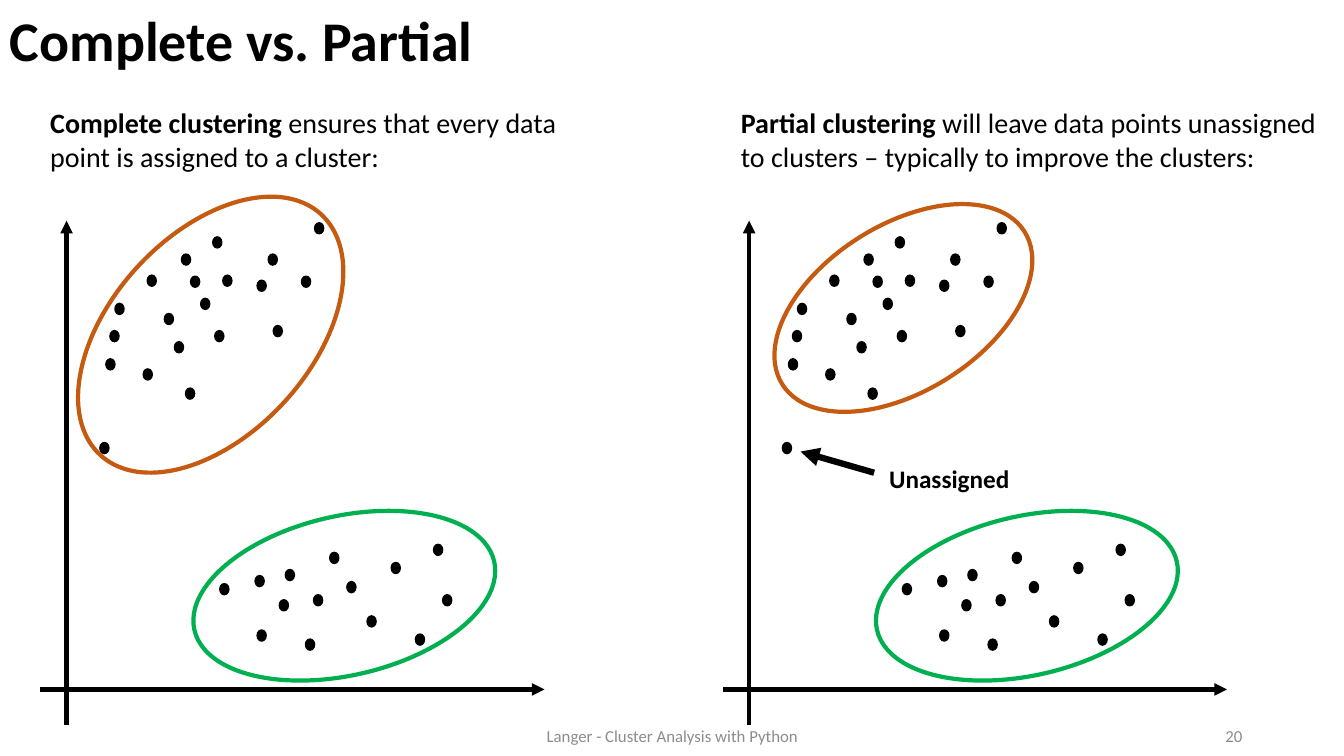
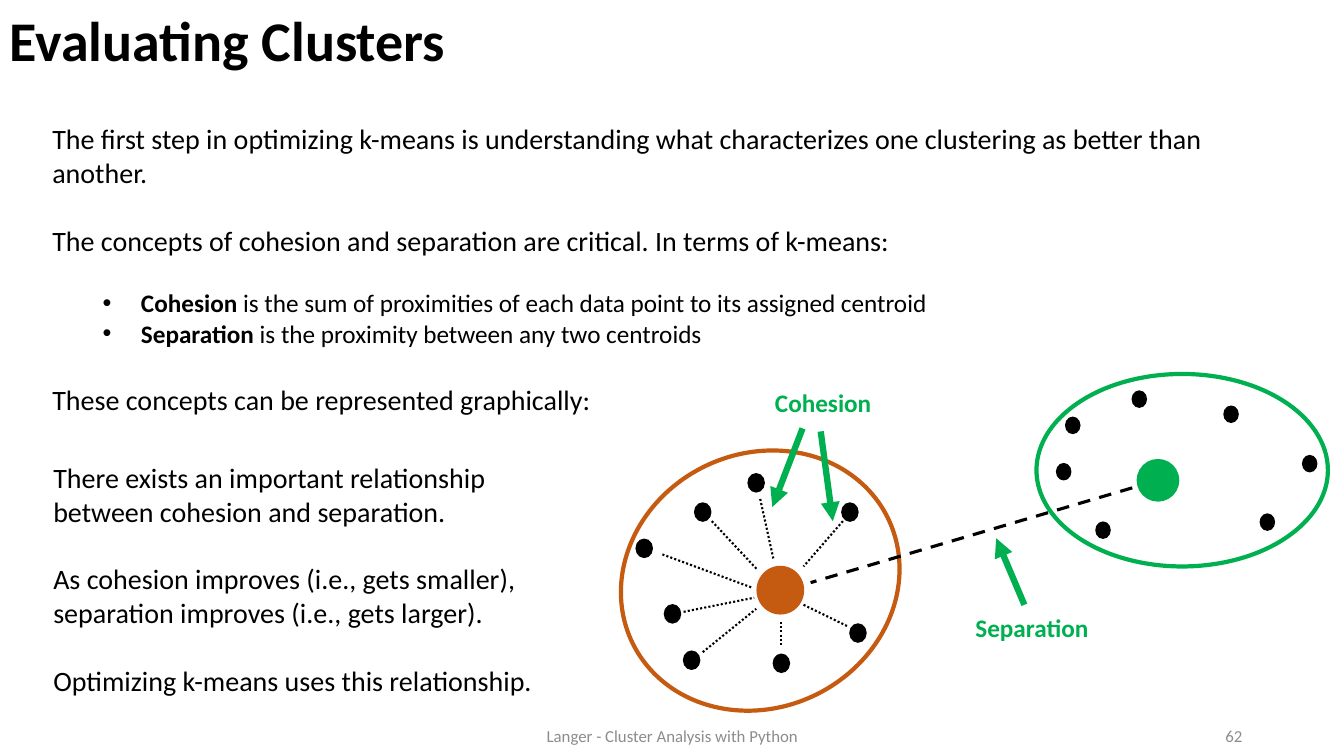
from dataclasses import dataclass

from lxml import etree
from pptx import Presentation
from pptx.dml.color import RGBColor
from pptx.enum.dml import MSO_LINE
from pptx.enum.shapes import MSO_CONNECTOR, MSO_SHAPE
from pptx.enum.text import MSO_ANCHOR, PP_ALIGN
from pptx.oxml.ns import qn
from pptx.slide import Slide
from pptx.util import Pt

EMU_PER_PX = 9144  # 100 px to the inch
BLANK_LAYOUT = 6

BLACK = RGBColor(0x00, 0x00, 0x00)
GRAY = RGBColor(0x8C, 0x8C, 0x8C)
ORANGE = RGBColor(0xC5, 0x5A, 0x11)
GREEN = RGBColor(0x00, 0xB0, 0x50)

FONT = "Calibri"
LINE_HEIGHT = 1.22
LEFT, CENTER, RIGHT = PP_ALIGN.LEFT, PP_ALIGN.CENTER, PP_ALIGN.RIGHT
TOP, MIDDLE = MSO_ANCHOR.TOP, MSO_ANCHOR.MIDDLE
OVAL = MSO_SHAPE.OVAL
STRAIGHT = MSO_CONNECTOR.STRAIGHT
DASH, DOTTED = MSO_LINE.DASH, MSO_LINE.ROUND_DOT

Point = tuple[int, int]


@dataclass(frozen=True)
class Box:
    left: int
    top: int
    width: int
    height: int

    def shifted(self, shift: int) -> "Box":
        return Box(self.left + shift, self.top, self.width, self.height)


@dataclass(frozen=True)
class Text:
    """One paragraph: an optional bold lead, then the rest."""

    body: str
    lead: str = ""
    size: int = 20
    bold: bool = False
    color: RGBColor = BLACK
    align: PP_ALIGN = LEFT
    gap_size: int = 0  # size of the line of space left above
    bullet: bool = False
    line_spacing: float = 1.0


@dataclass(frozen=True)
class Line:
    start: Point
    end: Point
    color: RGBColor = BLACK
    width: float = 3
    arrow: bool = True
    dash: MSO_LINE | None = None


@dataclass(frozen=True)
class Outline:
    box: Box
    color: RGBColor
    rotation: float = 0


@dataclass(frozen=True)
class CentroidCluster:
    outline: Outline
    centroid: Box
    dot_size: tuple[int, int]
    dots: list[Point]


@dataclass(frozen=True)
class Panel:
    shift: int
    text_box: Box
    text: Text
    upper_outline: Outline


TITLE_BOX = Box(0, 2, 1064, 83)
FOOTER_BOX = Box(442, 710, 450, 40)
NUMBER_BOX = Box(942, 710, 300, 40)
FOOTER = "Langer - Cluster Analysis with Python"

AXES = [Line((66, 719), (66, 219)), Line((40, 684), (540, 684))]
SCATTER_DOT = (9, 11)
UPPER_DOTS = [
    (221, 273), (173, 339), (255, 278), (312, 221), (213, 328),
    (142, 366), (114, 301), (199, 296), (266, 252), (146, 273),
    (211, 235), (189, 274), (180, 252), (105, 356), (184, 385),
    (99, 439), (299, 274), (109, 328), (163, 311), (271, 323),
]
LOWER_DOTS = [
    (277, 595), (218, 579), (253, 571), (388, 558), (344, 577),
    (283, 565), (255, 625), (327, 548), (311, 590), (303, 634),
    (430, 540), (412, 629), (364, 611), (439, 590),
]
LOWER_OUTLINE = Outline(Box(189, 512, 305, 158), GREEN, 347.1)
PANELS = [
    Panel(
        0,
        Box(40, 100, 534, 77),
        Text(" ensures that every data point is assigned to a cluster:",
             lead="Complete clustering"),
        Outline(Box(47, 233, 324, 198), ORANGE, 312.5),
    ),
    Panel(
        677,
        Box(725, 100, 596, 77),
        Text(" will leave data points unassigned to clusters – "
             "typically to improve the clusters:",
             lead="Partial clustering"),
        Outline(Box(77, 223, 284, 165), ORANGE, 327.7),
    ),
]

INTRODUCTION = [
    Text("The first step in optimizing k-means is understanding what "
         "characterizes one clustering as better than another."),
    Text("The concepts of cohesion and separation are critical. "
         "In terms of k-means:", gap_size=20),
    Text(" is the sum of proximities of each data point to its assigned "
         "centroid", lead="Cohesion", size=18, gap_size=18, bullet=True),
    Text(" is the proximity between any two centroids",
         lead="Separation", size=18, bullet=True),
    Text("These concepts can be represented graphically:", gap_size=20),
]
RELATIONSHIP = [
    Text("There exists an important relationship between cohesion and "
         "separation."),
    Text("As cohesion improves (i.e., gets smaller), separation improves "
         "(i.e., gets larger).", gap_size=20),
    Text("Optimizing k-means uses this relationship.", gap_size=20),
]
CENTROID_CLUSTERS = [
    CentroidCluster(
        Outline(Box(613, 450, 282, 252), ORANGE, 333.7),
        Box(751, 562, 46, 47),
        (16, 18),
        [(678, 646), (767, 649), (835, 499), (631, 535),
         (742, 470), (689, 499), (659, 600), (843, 619)],
    ),
    CentroidCluster(
        Outline(Box(1028, 371, 289, 191), GREEN),
        Box(1128, 456, 41, 41),
        (14, 16),
        [(1048, 460), (1214, 403), (1057, 414), (1123, 388),
         (1087, 518), (1250, 510), (1292, 452)],
    ),
]
SPOKES = [
    ((797, 600), (840, 621)), ((697, 647), (750, 604)),
    ((754, 495), (767, 554)), ((836, 517), (797, 562)),
    ((706, 517), (751, 565)), ((657, 550), (746, 583)),
    ((678, 607), (748, 593)), ((775, 617), (775, 641)),
]
POINTERS = [((814, 428), (826, 517)), ((796, 425), (766, 503)),
            ((1016, 600), (988, 534))]


def emu(*lengths: int) -> list[int]:
    return [length * EMU_PER_PX for length in lengths]


def place(box: Box) -> list[int]:
    return emu(box.left, box.top, box.width, box.height)


def add_bullet(paragraph) -> None:
    properties = paragraph._p.get_or_add_pPr()
    margin, indent = emu(88, -38)
    properties.set("marL", str(margin))
    properties.set("indent", str(indent))
    etree.SubElement(properties, qn("a:buFont")).set("typeface", "Arial")
    etree.SubElement(properties, qn("a:buChar")).set("char", "•")


def add_text(slide: Slide, box: Box, *texts: Text,
             anchor: MSO_ANCHOR = TOP) -> None:
    frame = slide.shapes.add_textbox(*place(box)).text_frame
    frame.word_wrap = True
    frame.vertical_anchor = anchor
    for index, text in enumerate(texts):
        paragraph = frame.add_paragraph() if index else frame.paragraphs[0]
        if text.bullet:
            paragraph.level = 1
            add_bullet(paragraph)
        paragraph.alignment = text.align
        paragraph.line_spacing = text.line_spacing
        paragraph.space_before = Pt(text.gap_size * LINE_HEIGHT)
        font = paragraph.font
        font.name, font.size, font.bold = FONT, Pt(text.size), text.bold
        font.color.rgb = text.color
        if text.lead:
            run = paragraph.add_run()
            run.text = text.lead
            run.font.bold = True
        paragraph.add_run().text = text.body


def add_line(slide: Slide, line: Line, shift: int = 0) -> None:
    (start_x, start_y), (end_x, end_y) = line.start, line.end
    connector = slide.shapes.add_connector(
        STRAIGHT, *emu(start_x + shift, start_y, end_x + shift, end_y))
    connector.line.color.rgb = line.color
    connector.line.width = Pt(line.width)
    if line.dash is not None:
        connector.line.dash_style = line.dash
    properties = connector.element.spPr
    if line.arrow:
        stroke = properties.find(qn("a:ln"))
        etree.SubElement(stroke, qn("a:tailEnd")).set("type", "triangle")
    etree.SubElement(properties, qn("a:effectLst"))


def add_oval(slide: Slide, box: Box, color: RGBColor, line_width: int = 1,
             filled: bool = True, rotation: float = 0) -> None:
    oval = slide.shapes.add_shape(OVAL, *place(box))
    oval.shadow.inherit = False
    oval.rotation = rotation
    oval.line.color.rgb = color
    oval.line.width = Pt(line_width)
    if filled:
        oval.fill.solid()
        oval.fill.fore_color.rgb = color
    else:
        oval.fill.background()


def add_outline(slide: Slide, outline: Outline, shift: int = 0) -> None:
    add_oval(slide, outline.box.shifted(shift), outline.color, 3,
             filled=False, rotation=outline.rotation)


def add_dots(slide: Slide, dots: list[Point], size: tuple[int, int],
             shift: int = 0) -> None:
    for dot in dots:
        add_oval(slide, Box(*dot, *size).shifted(shift), BLACK)


def add_slide(presentation, title: str, number: int) -> Slide:
    """Add a blank slide with the shared title, footer and slide number."""
    slide = presentation.slides.add_slide(
        presentation.slide_layouts[BLANK_LAYOUT])
    add_text(slide, TITLE_BOX,
             Text(title, size=40, bold=True, line_spacing=0.9), anchor=MIDDLE)
    for box, text, align in ((FOOTER_BOX, FOOTER, CENTER),
                             (NUMBER_BOX, str(number), RIGHT)):
        add_text(slide, box, Text(text, size=12, color=GRAY, align=align),
                 anchor=MIDDLE)
    return slide


def build_complete_vs_partial(presentation) -> None:
    slide = add_slide(presentation, "Complete vs. Partial", 20)
    for panel in PANELS:
        add_text(slide, panel.text_box, panel.text)
        for axis in AXES:
            add_line(slide, axis, panel.shift)
        add_dots(slide, UPPER_DOTS + LOWER_DOTS, SCATTER_DOT, panel.shift)
        for outline in (panel.upper_outline, LOWER_OUTLINE):
            add_outline(slide, outline, panel.shift)
    add_text(slide, Box(872, 455, 157, 40),
             Text("Unassigned", size=18, bold=True))
    add_line(slide, Line((867, 469), (794, 448), width=4.5))


def build_evaluating_clusters(presentation) -> None:
    slide = add_slide(presentation, "Evaluating Clusters", 62)
    add_text(slide, Box(42, 116, 1251, 303), *INTRODUCTION)
    add_text(slide, Box(43, 452, 511, 246), *RELATIONSHIP)
    for cluster in CENTROID_CLUSTERS:
        add_dots(slide, cluster.dots, cluster.dot_size)
        add_oval(slide, cluster.centroid, cluster.outline.color)
        add_outline(slide, cluster.outline)
    for start, end in SPOKES:
        add_line(slide, Line(start, end, width=1.5, arrow=False, dash=DOTTED))
    add_line(slide, Line((1123, 484), (804, 578), width=2.25, arrow=False,
                         dash=DASH))
    for label, box, align in (("Cohesion", Box(709, 379, 165, 40), RIGHT),
                              ("Separation", Box(941, 603, 165, 40), CENTER)):
        add_text(slide, box, Text(label, size=18, bold=True, color=GREEN,
                                  align=align))
    for start, end in POINTERS:
        add_line(slide, Line(start, end, GREEN, 4.5))


def main() -> None:
    presentation = Presentation()
    presentation.slide_width, presentation.slide_height = emu(1333, 750)
    build_complete_vs_partial(presentation)
    build_evaluating_clusters(presentation)
    presentation.save("out.pptx")


if __name__ == "__main__":
    main()
